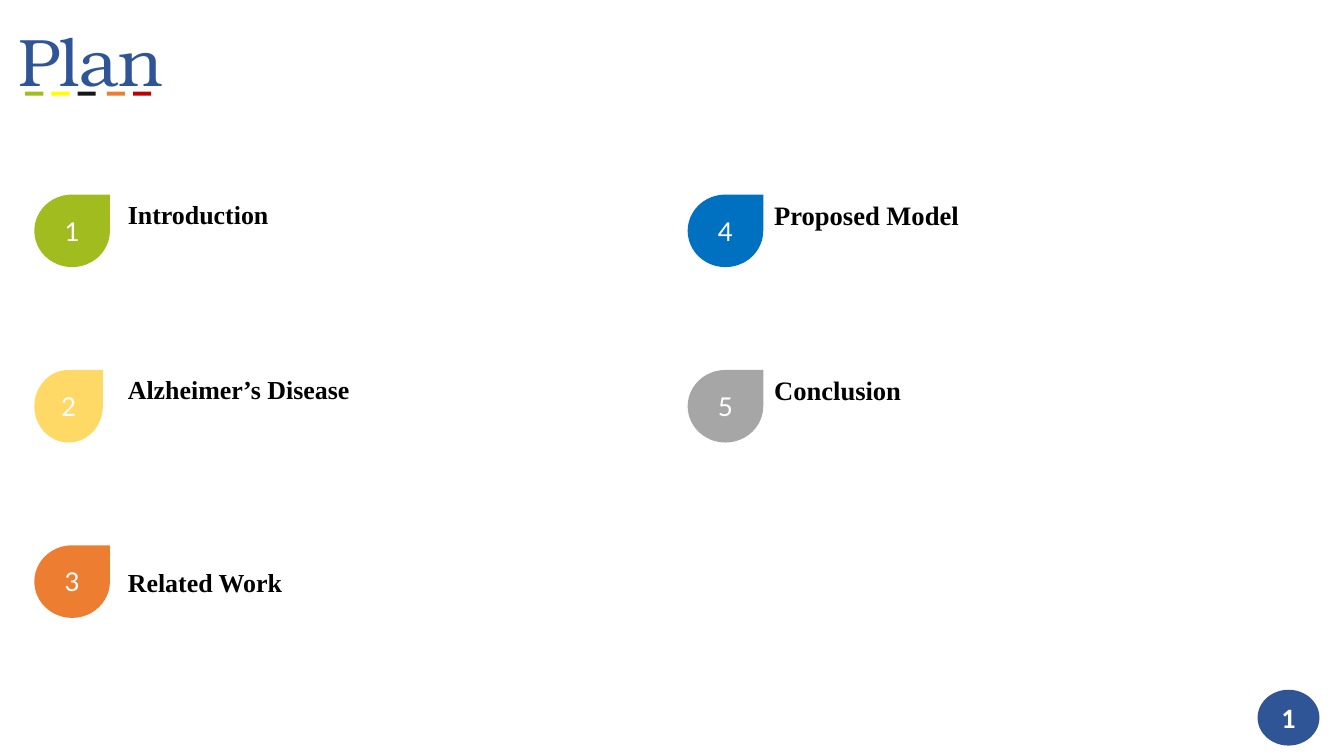
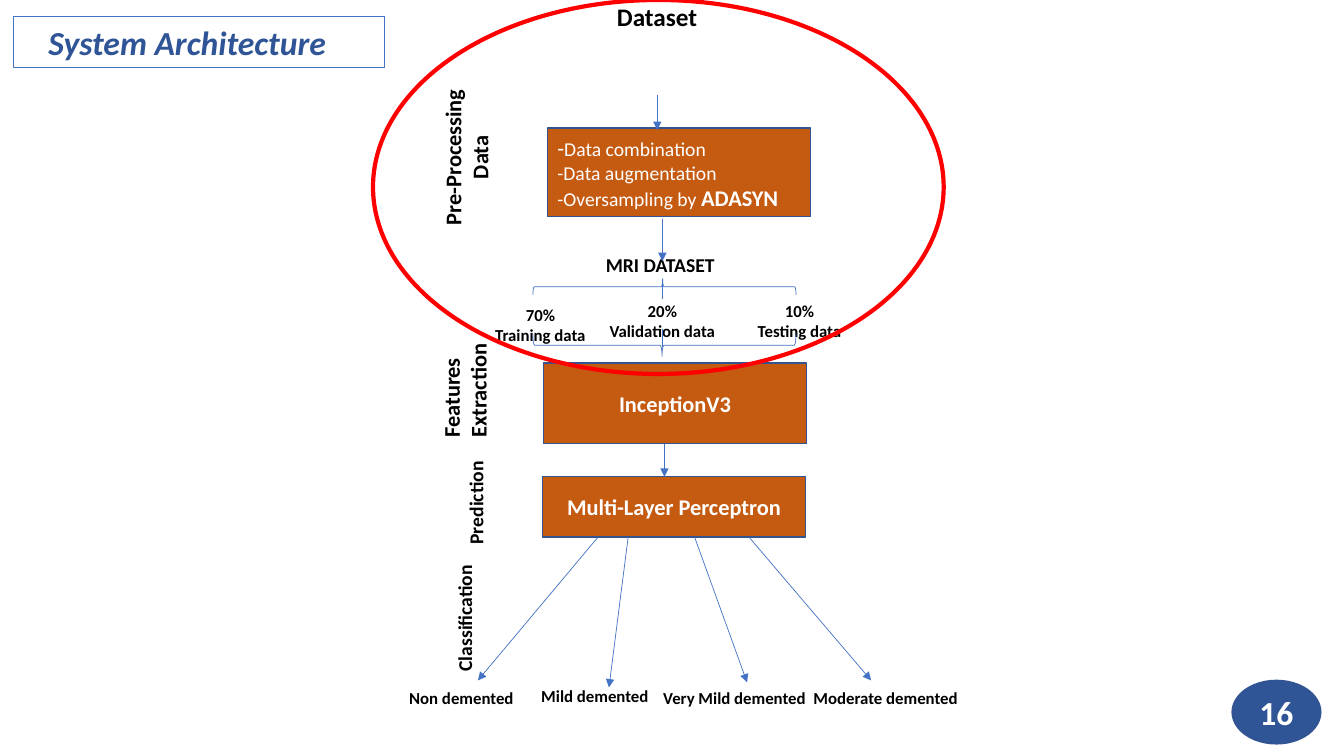
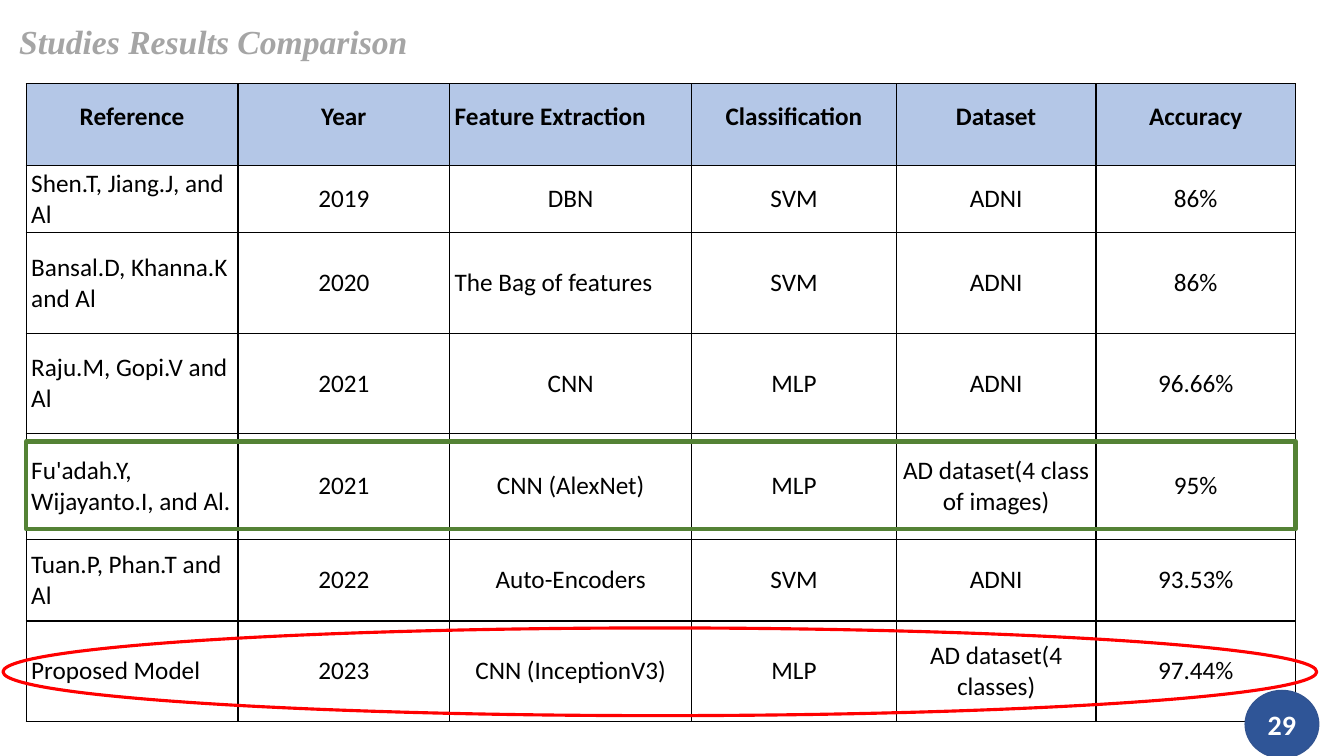
from lxml.etree import SubElement
from pptx import Presentation
from pptx.dml.color import RGBColor
from pptx.enum.shapes import MSO_CONNECTOR, MSO_SHAPE
from pptx.enum.text import MSO_ANCHOR, MSO_AUTO_SIZE, PP_ALIGN
from pptx.oxml.ns import qn
from pptx.util import Inches, Pt

WHITE = RGBColor(0xFF, 0xFF, 0xFF)
BLACK = RGBColor(0x00, 0x00, 0x00)
NAVY = RGBColor(0x2F, 0x55, 0x97)
EDGE = RGBColor(0x32, 0x54, 0x91)
BLUE = RGBColor(0x44, 0x72, 0xC4)
SKY = RGBColor(0x00, 0x70, 0xC0)
PALE_BLUE = RGBColor(0xB4, 0xC7, 0xE7)
LIME = RGBColor(0xA1, 0xBC, 0x1F)
GREEN = RGBColor(0x54, 0x82, 0x35)
YELLOW = RGBColor(0xFF, 0xFF, 0x00)
SAND = RGBColor(0xFF, 0xD9, 0x66)
ORANGE = RGBColor(0xED, 0x7D, 0x31)
RUST = RGBColor(0xC5, 0x5A, 0x11)
RED = RGBColor(0xFF, 0x00, 0x00)
DARK_RED = RGBColor(0xC0, 0x00, 0x00)
INK = RGBColor(0x18, 0x17, 0x17)
GREY = RGBColor(0xA6, 0xA6, 0xA6)
TITLE_GREY = RGBColor(0xA5, 0xA5, 0xA5)

SERIF = "Times New Roman"
LEFT, CENTER = PP_ALIGN.LEFT, PP_ALIGN.CENTER
TOP, MIDDLE = MSO_ANCHOR.TOP, MSO_ANCHOR.MIDDLE


def write(tf, text, size=18, font="Calibri", color=BLACK, bold=False,
          italic=False, align=LEFT, spacing=None):
    """Fill a text frame: one paragraph a line; a line is text or (text, size, bold) runs."""
    lines = [text] if isinstance(text, str) else text
    for i, line in enumerate(lines):
        p = tf.add_paragraph() if i else tf.paragraphs[0]
        p.alignment = align
        if spacing:
            p.line_spacing = spacing
        runs = [(line, size, bold)] if isinstance(line, str) else line
        for words, run_size, run_bold in runs:
            r = p.add_run()
            r.text = words
            r.font.size, r.font.bold, r.font.italic = Pt(run_size), run_bold, italic
            r.font.name = font
            r.font.color.rgb = color


def set_frame(tf, anchor=TOP, left=0.1, side=0.1):
    tf.word_wrap = True
    tf.auto_size = MSO_AUTO_SIZE.NONE
    tf.vertical_anchor = anchor
    tf.margin_left, tf.margin_right = Inches(left), Inches(side)
    tf.margin_top = tf.margin_bottom = Inches(0.05)


def set_line(line, color, width):
    line.color.rgb = color
    line.width = Pt(width)


def add_title(slide, text, box, left=0.1, **fmt):
    sp = slide.shapes.title
    sp.left, sp.top, sp.width, sp.height = map(Inches, box)
    set_frame(sp.text_frame, MIDDLE, left)
    write(sp.text_frame, text, **fmt)
    return sp


def add_text(slide, text, box, rotation=0, **fmt):
    sp = slide.shapes.add_textbox(*map(Inches, box))
    sp.rotation = rotation
    set_frame(sp.text_frame)
    write(sp.text_frame, text, **fmt)


def add_figure(slide, kind, box, fill=None, line=None, width=1, text=None,
               margin=0.0, **fmt):
    sp = slide.shapes.add_shape(kind, *map(Inches, box))
    sp.shadow.inherit = False
    if fill is None:
        sp.fill.background()
    else:
        sp.fill.solid()
        sp.fill.fore_color.rgb = fill
    if line is None:
        sp.line.fill.background()
    else:
        set_line(sp.line, line, width)
    if text:
        set_frame(sp.text_frame, MIDDLE, margin, margin)
        write(sp.text_frame, text, **{"color": WHITE, "align": CENTER, **fmt})
    return sp


def add_line(slide, start, end, arrow=True):
    cn = slide.shapes.add_connector(MSO_CONNECTOR.STRAIGHT, *map(Inches, start + end))
    set_line(cn.line, BLUE, 0.5)
    if arrow:
        SubElement(cn.line._get_or_add_ln(), qn("a:tailEnd"), type="triangle")
    SubElement(cn._element.spPr, qn("a:effectLst"))


def add_brace(slide, box, rotation, middle):
    sp = add_figure(slide, MSO_SHAPE.LEFT_BRACE, box, line=BLUE, width=0.5)
    sp.rotation = rotation
    sp.adjustments[0], sp.adjustments[1] = 0.083, middle


def add_process(slide, text, box, **fmt):
    add_figure(slide, MSO_SHAPE.RECTANGLE, box, RUST, EDGE, text=text,
               **{"size": 16, "bold": True, "margin": 0.1, **fmt})


def add_page_badge(slide, number, box, size=20):
    add_figure(slide, MSO_SHAPE.OVAL, box, NAVY, EDGE, text=number, size=size, bold=True)


def set_borders(cell, color, width):
    tc_pr = cell._tc.get_or_add_tcPr()
    for side in ("lnL", "lnR", "lnT", "lnB"):
        ln = SubElement(tc_pr, qn(f"a:{side}"), w=str(Pt(width)))
        SubElement(SubElement(ln, qn("a:solidFill")), qn("a:srgbClr"), val=str(color))


def add_grid(slide, rows, left, top, widths, heights, left_cells):
    """Bordered table with a tinted head row; left_cells are (row, column) set flush left."""
    frame = slide.shapes.add_table(
        len(rows), len(widths), Inches(left), Inches(top),
        Inches(sum(widths)), Inches(sum(heights)))
    table = frame.table
    table.horz_banding = False
    for column, width in zip(table.columns, widths):
        column.width = Inches(width)
    for i, (values, height) in enumerate(zip(rows, heights)):
        table.rows[i].height = Inches(height)
        head = i == 0
        for j, value in enumerate(values):
            cell = table.cell(i, j)
            set_borders(cell, BLACK, 1)
            cell.fill.solid()
            cell.fill.fore_color.rgb = PALE_BLUE if head else WHITE
            cell.vertical_anchor = MSO_ANCHOR.BOTTOM if head else MIDDLE
            cell.margin_left = cell.margin_right = Inches(0.05)
            cell.margin_top = Inches(0.03)
            cell.margin_bottom = Inches(0.33 if head else 0.03)
            flush = (i, j) in left_cells
            write(cell.text_frame, value, bold=head, align=LEFT if flush else CENTER)


def build_plan(slide):
    add_title(slide, "Plan", (0.08, 0.09, 12.02, 1.11), size=48,
              font="TeX Gyre Bonum", color=NAVY, spacing=0.9)
    dashes = zip((0.25, 0.51, 0.77, 1.06, 1.32), (LIME, YELLOW, INK, ORANGE, DARK_RED))
    for x, color in dashes:
        add_figure(slide, MSO_SHAPE.RECTANGLE, (x, 0.91, 0.18, 0.04), color)

    top, step, per_column = 1.93, 1.74, 3
    columns = ((0.34, 1.17, 18.5), (6.82, 7.58, 19))  # drop x, label x, label size
    topics = (
        ("Introduction", LIME, 0.75, -0.01),
        ("Alzheimer’s Disease", SAND, 0.68, -0.01),
        ("Related Work", ORANGE, 0.75, 0.16),
        ("Proposed Model", SKY, 0.75, -0.01),
        ("Conclusion", GREY, 0.75, -0.01),
    )
    for i, (label, color, width, shift) in enumerate(topics):
        column, row = divmod(i, per_column)
        x, label_x, size = columns[column]
        y = top + row * step
        add_figure(slide, MSO_SHAPE.TEAR, (x, y, width, 0.72), color,
                   text=str(i + 1), size=18.5, font="Lato")
        add_text(slide, label, (label_x, y + shift, 4.51, 0.42), size=size,
                 font=SERIF, bold=True)
    add_page_badge(slide, "1", (12.48, 6.85, 0.6, 0.54))


def build_architecture(slide):
    title = add_title(slide, "System Architecture", (0.13, 0.16, 3.68, 0.51), left=0.35,
                      size=24, color=NAVY, bold=True, italic=True)
    set_line(title.line, BLUE, 0.75)

    box_w, axis = 2.61, 6.57
    steps = ["-Data augmentation",
             [("-Oversampling by ", 14, False), ("ADASYN", 16, True)]]
    add_process(slide, [[("-", 16, False), ("Data combination", 14, False)]] + steps,
                (5.43, 1.27, box_w, 0.88), size=14, bold=False, align=LEFT)
    add_text(slide, "MRI DATASET", (5.91, 2.46, 1.65, 0.34), size=14, bold=True)
    add_brace(slide, (6.51, 1.54, 0.16, box_w), 90, 0.507)
    for text, x, y in ((["70%", "Training data"], 4.44, 2.97),
                       (["20%", "Validation data"], 5.65, 2.93),
                       (["10%", "Testing data"], 7.01, 2.93)):
        add_text(slide, text, (x, y, 1.84, 0.5), size=12, bold=True, align=CENTER)
    add_brace(slide, (6.48, 2.12, 0.22, box_w), 270, 0.491)
    add_process(slide, "InceptionV3", (5.39, 3.6, box_w, 0.8))
    add_process(slide, "Multi-Layer Perceptron", (5.38, 4.73, box_w, 0.6))

    for x, y1, y2, arrow in ((6.52, 0.94, 1.29, True), (axis, 2.17, 2.59, True),
                             (axis, 2.82, 2.97, False), (axis, 3.26, 3.44, False),
                             (6.59, 4.4, 4.73, True)):
        add_line(slide, (x, y1), (x, y2), arrow)

    classes = (
        ("Non demented", 3.96, 6.77, 5.93, (4.74, 6.75)),
        ("Mild demented", 5.27, 6.75, 6.23, (6.04, 6.82)),
        ("Very Mild demented", 6.48, 6.77, 6.89, (7.41, 6.77)),
        ("Moderate demented", 7.97, 6.77, 7.43, (8.64, 6.75)),
    )
    for label, x, y, start_x, tip in classes:
        add_line(slide, (start_x, 5.33), tip)
        add_text(slide, label, (x, y, 1.84, 0.3), size=12, bold=True)

    stages = (
        (["Pre-Processing", "Data"], (3.73, 1.24, 1.79, 0.64), 16, CENTER),
        ("Features Extraction", (4.03, 3.54, 1.16, 0.64), 16, LEFT),
        ("Prediction", (3.8, 4.41, 1.84, 0.34), 14, LEFT),
        ("Classification", (3.69, 5.67, 1.84, 0.34), 14, LEFT),
    )
    for label, box, size, align in stages:
        add_text(slide, label, box, rotation=270, size=size, bold=True, align=align)
    add_text(slide, "Dataset", (6.02, -0.04, 1.05, 0.4), bold=True)
    add_page_badge(slide, "16", (12.22, 6.75, 0.88, 0.63), size=24)
    add_figure(slide, MSO_SHAPE.OVAL, (3.7, 0, 5.66, 3.71), line=RED, width=3)


def build_comparison(slide):
    add_title(slide, "Studies Results Comparison", (0, 0.16, 5.35, 0.5), left=0.19,
              size=24, font=SERIF, color=TITLE_GREY, bold=True, italic=True)
    studies = (
        ("Reference", "Year", "Feature Extraction", "Classification", "Dataset", "Accuracy"),
        ("Shen.T, Jiang.J, and Al", "2019", "DBN", "SVM", "ADNI", "86%"),
        ("Bansal.D, Khanna.K and Al", "2020", "The Bag of features", "SVM", "ADNI", "86%"),
        ("Raju.M, Gopi.V and Al", "2021", "CNN", "MLP", "ADNI", "96.66%"),
        ("Fu'adah.Y, Wijayanto.I, and Al.", "2021", "CNN (AlexNet)", "MLP",
         "AD dataset(4 class of images)", "95%"),
        ("Tuan.P, Phan.T and Al", "2022", "Auto-Encoders", "SVM", "ADNI", "93.53%"),
        ("Proposed Model", "2023", "CNN (InceptionV3)", "MLP",
         "AD dataset(4 classes)", "97.44%"),
    )
    left, widths = 0.26, (2.1, 2.1, 2.4, 2.03, 1.98, 1.98)
    heights = (0.81, 0.65, 1, 0.99, 1.05, 0.81, 1)
    flush = {(i, 0) for i in range(1, len(studies))} | {(0, 2), (2, 2)}
    add_grid(slide, studies, left, 0.83, widths, heights, flush)
    add_figure(slide, MSO_SHAPE.OVAL, (0.03, 6.23, 13.03, 0.87), line=RED, width=2.25)
    add_page_badge(slide, "29", (12.35, 6.85, 0.73, 0.67))
    add_figure(slide, MSO_SHAPE.RECTANGLE, (left, 4.38, sum(widths), 0.87),
               line=GREEN, width=3)


def main():
    prs = Presentation()
    prs.slide_width, prs.slide_height = Inches(13.33), Inches(7.5)
    title_only = prs.slide_layouts[5]
    for build in (build_plan, build_architecture, build_comparison):
        build(prs.slides.add_slide(title_only))
    prs.save("out.pptx")


if __name__ == "__main__":
    main()
